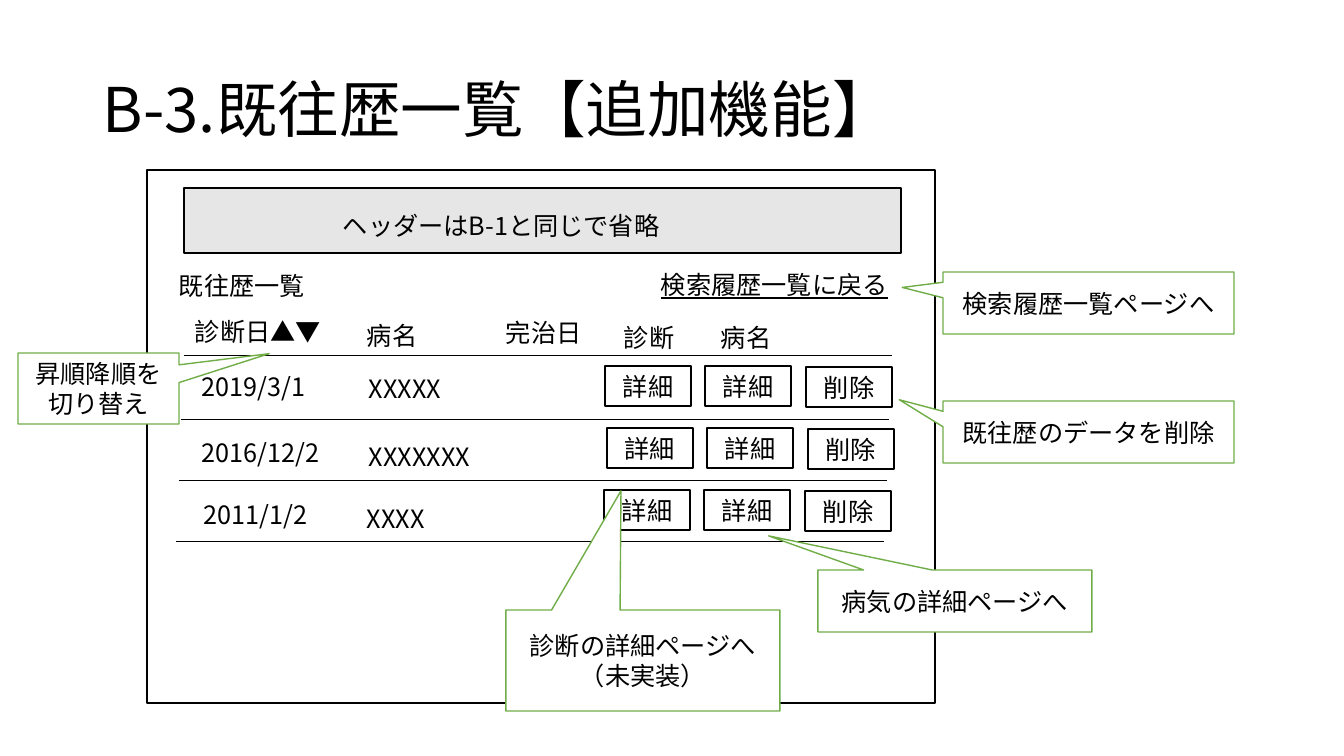
import pptx
import pptx.util
import pptx.dml.color
import pptx.enum.shapes
import pptx.enum.text
import pptx.oxml
import pptx.oxml.ns

PIXEL = 914400 / 100.8
FONT = "Noto Sans CJK JP"
BLACK, WHITE, GREY, GREEN = "000000", "FFFFFF", "E7E6E6", "70AD47"
SHAPE = pptx.enum.shapes.MSO_SHAPE
ALIGN = pptx.enum.text.PP_ALIGN
ANCHOR = pptx.enum.text.MSO_ANCHOR
FIT = pptx.enum.text.MSO_AUTO_SIZE


def emu(*pixels):
    """Turn pixels into EMU lengths."""
    return [pptx.util.Emu(round(pixel * PIXEL)) for pixel in pixels]


def color(code):
    """Turn a hex string into a colour."""
    return pptx.dml.color.RGBColor.from_string(code)


class Page:
    """Hold the style and the current slide."""

    def __init__(self, deck):
        """Add a blank slide to the deck."""
        self.shapes = deck.slides.add_slide(deck.slide_layouts[6]).shapes

    def set_text(self, frame, text, size=18, align=ALIGN.LEFT, under=None):
        """Fill a text frame, one paragraph to each line of text."""
        frame.word_wrap = True
        frame.text = text
        for para in frame.paragraphs:
            para.alignment = align
            font = para.font
            font.size = pptx.util.Pt(size)
            font.underline = under
            font.color.rgb = color(BLACK)
            font.name = FONT
            style = para._p.pPr.find(pptx.oxml.ns.qn("a:defRPr"))
            asian = pptx.oxml.parse_xml(
                f'<a:ea {pptx.oxml.ns.nsdecls("a")} typeface="{FONT}"/>')
            style.append(asian)

    def label(self, text, left, top, width=205, under=None):
        """Add a one-line text that fits its box."""
        box = self.shapes.add_textbox(*emu(left, top, width, 40))
        self.set_text(box.text_frame, text, under=under)
        box.text_frame.auto_size = FIT.SHAPE_TO_FIT_TEXT

    def title(self, text, *place):
        """Add the slide title."""
        frame = self.shapes.add_textbox(*emu(*place)).text_frame
        self.set_text(frame, text, 44)
        frame.vertical_anchor = ANCHOR.MIDDLE
        frame.paragraphs[0].line_spacing = 0.9

    def box(self, place, text="", fill=WHITE, line=BLACK, kind=SHAPE.RECTANGLE):
        """Add an outlined shape with centred text."""
        shape = self.shapes.add_shape(kind, *emu(*place))
        shape.shadow.inherit = False
        shape.fill.solid()
        shape.fill.fore_color.rgb = color(fill)
        shape.line.color.rgb = color(line)
        shape.line.width = pptx.util.Pt(1)
        if text:
            self.set_text(shape.text_frame, text, align=ALIGN.CENTER)
            shape.text_frame.vertical_anchor = ANCHOR.MIDDLE
        return shape

    def callout(self, text, place, tip):
        """Add a green callout; tip is its point relative to the box."""
        shape = self.box(place, text, line=GREEN, kind=SHAPE.RECTANGULAR_CALLOUT)
        shape.adjustments[0], shape.adjustments[1] = tip

    def rule(self, left, top, width):
        """Add a thin horizontal line."""
        line = self.shapes.add_connector(
            pptx.enum.shapes.MSO_CONNECTOR.STRAIGHT,
            *emu(left, top, left + width, top))
        line.line.color.rgb = color(BLACK)
        line.line.width = pptx.util.Pt(0.5)
        line._element.spPr.append(pptx.oxml.parse_xml(
            f'<a:effectLst {pptx.oxml.ns.nsdecls("a")}/>'))


deck = pptx.Presentation()
deck.slide_width, deck.slide_height = emu(1344, 756)
page = Page(deck)

page.title("B-3.既往歴一覧【追加機能】", 93, 40, 1159, 146)
page.box((147, 170, 788, 533))
page.box((184, 188, 717, 65), fill=GREY)
page.label("ヘッダーはB-1と同じで省略", 333, 205, 354)
page.label("既往歴一覧", 169, 265)
page.label("検索履歴一覧に戻る", 651, 264, 249, under=True)

heads = [("診断日▲▼", 185, 311), ("病名", 357, 315), ("完治日", 496, 312),
         ("診断", 614, 317), ("病名", 711, 317)]
for head in heads:
    page.label(*head)

for left, top in [(184, 355), (181, 419), (179, 480), (176, 541)]:
    page.rule(left, top, 708)

# date, its corner, name, its corner, button top, button shift
rows = [("2019/3/1", (192, 366), "XXXXX", (359, 368), 366, 0),
        ("2016/12/2", (192, 432), "XXXXXXX", (359, 436), 428, 2),
        ("2011/1/2", (194, 494), "XXXX", (357, 498), 490, -1)]
buttons = [("詳細", 605, 0), ("詳細", 705, 0), ("削除", 806, 1)]
for date, start, name, corner, top, shift in rows:
    page.label(date, *start, 164)
    page.label(name, *corner, 164)
    for word, left, drop in buttons:
        page.box((left + shift, top + drop, 86, 40), word)

callouts = [
    ("病気の詳細ページへ", (818, 570, 274, 62), (-0.68, -1.05)),
    ("検索履歴一覧ページへ", (943, 272, 291, 62), (-0.64, -0.25)),
    ("昇順降順を\n切り替え", (18, 353, 161, 71), (1.06, -0.49)),
    ("診断の詳細ページへ\n（未実装）", (506, 610, 274, 101), (-0.08, -1.68)),
    ("既往歴のデータを削除", (943, 401, 291, 62), (-0.65, -0.52)),
]
for callout in callouts:
    page.callout(*callout)

deck.save("out.pptx")
